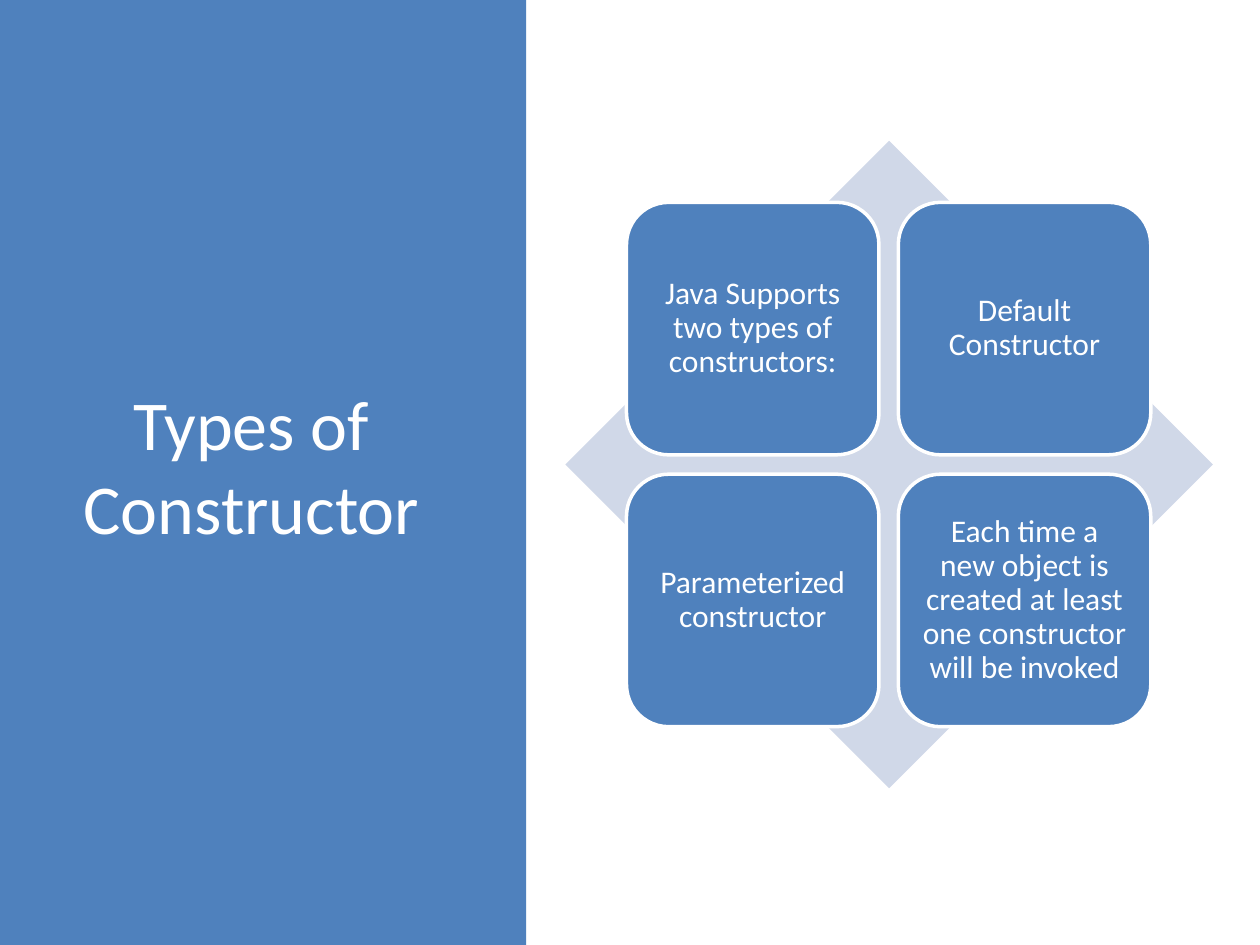
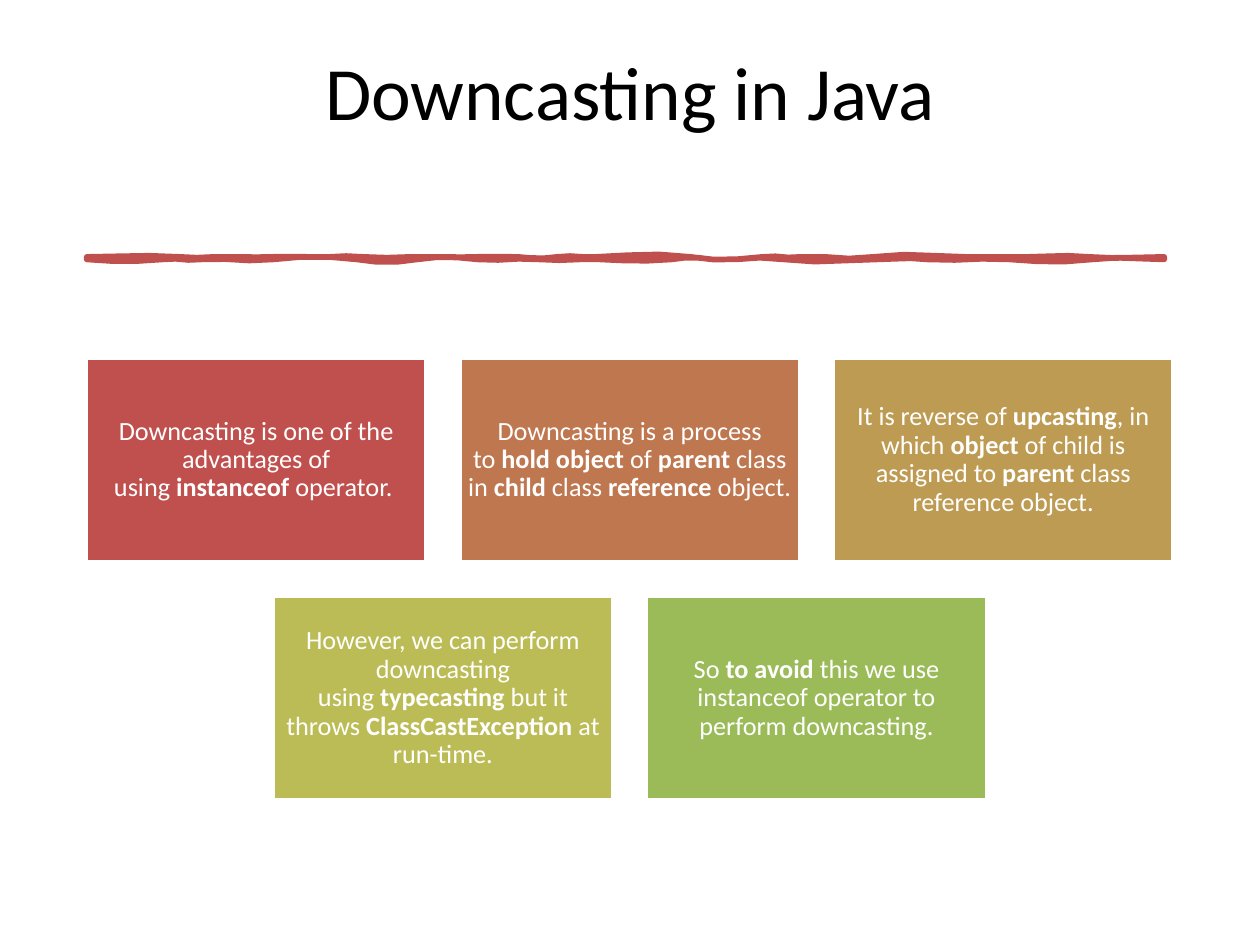
import pptx
import pptx.util
import pptx.dml.color
import pptx.enum.shapes
import pptx.enum.text
from dataclasses import dataclass

Cm = pptx.util.Cm
Pt = pptx.util.Pt
MSO = pptx.enum.shapes.MSO_SHAPE
ANCHOR = pptx.enum.text.MSO_ANCHOR


@dataclass(frozen=True)
class Theme:
    font: str = "Calibri"
    blue: str = "4F81BD"
    pale: str = "D0D8E8"
    red: str = "C0504D"
    white: str = "FFFFFF"
    black: str = "000000"
    cards: tuple = ("C0504D", "BF7750", "BD9B53", "BCBC56", "9BBB59")
    side_title: int = 40
    top_title: int = 43
    tile_text: int = 18
    card_text: int = 15
    outline: float = 2
    stroke: float = 3.25


theme = Theme()
NBSP = chr(160)


def paint(sp, fill, line=None, width=theme.outline):
    """Give a shape its fill and outline, without a shadow."""
    sp.shadow.inherit = False
    sp.fill.solid()
    sp.fill.fore_color.rgb = pptx.dml.color.RGBColor.from_string(fill)
    if line:
        sp.line.color.rgb = pptx.dml.color.RGBColor.from_string(line)
        sp.line.width = Pt(width)
    else:
        sp.line.fill.background()


def write(sp, text, size, color=theme.white, spacing=0.9, **frame):
    """Centre text in a shape; *stars* mark bold, with hard spaces beside them."""
    tf = sp.text_frame
    fmt = {"word_wrap": True, "vertical_anchor": ANCHOR.MIDDLE, **frame}
    for name, value in fmt.items():
        setattr(tf, name, value)
    p = tf.paragraphs[0]
    p.alignment = pptx.enum.text.PP_ALIGN.CENTER
    p.line_spacing = spacing
    text = text.replace(" *", NBSP + "*").replace("* ", "*" + NBSP)
    for i, part in enumerate(text.split("*")):
        r = p.add_run()
        r.text = part
        for name, value in {"name": theme.font, "size": Pt(size), "bold": i % 2 == 1}.items():
            setattr(r.font, name, value)
        r.font.color.rgb = pptx.dml.color.RGBColor.from_string(color)


prs = pptx.Presentation()
prs.slide_width, prs.slide_height = Cm(25.4), Cm(19.05)
blank = prs.slide_layouts[6]

# Slide 1: side band and title
s = prs.slides.add_slide(blank)
sp = s.shapes.add_shape(MSO.RECTANGLE, 0, 0, Cm(10.61), prs.slide_height)
paint(sp, theme.blue)
sp = s.shapes.add_textbox(Cm(1.11), Cm(1.71), Cm(7.92), Cm(15.29))
write(sp, "Types of Constructor", theme.side_title, spacing=1.0)

# Diamond behind a two by two grid of tiles
sp = s.shapes.add_shape(MSO.DIAMOND, Cm(11.4), Cm(2.84), Cm(13.05), Cm(13.05))
paint(sp, theme.pale)
tiles = [
    "Java Supports two types of constructors:",
    "Default Constructor",
    "Parameterized constructor",
    "Each time a new object is created at least one constructor will be invoked",
]
tile, tile_pitch = 5.09, 5.48
sides = ("margin_left", "margin_right", "margin_top", "margin_bottom")
pad = dict.fromkeys(sides, Cm(0.23))
for i, text in enumerate(tiles):
    row, col = divmod(i, 2)
    sp = s.shapes.add_shape(MSO.ROUNDED_RECTANGLE, Cm(12.63 + col * tile_pitch),
                            Cm(4.08 + row * tile_pitch), Cm(tile), Cm(tile))
    paint(sp, theme.blue, theme.white)
    write(sp, text, theme.tile_text, **pad)

# Slide 2: title
s = prs.slides.add_slide(blank)
sp = s.shapes.add_textbox(Cm(1.75), Cm(1.02), Cm(21.9), Cm(3.68))
write(sp, "Downcasting in Java", theme.top_title, theme.black,
      vertical_anchor=ANCHOR.TOP, margin_top=Cm(0.1))

# Hand-drawn rule: each stretch is (end x, first bend, second bend)
left, top_y, bottom_y = 1.75, 5.18, 5.23
bend, steps = 0.025, 3
top_edge = [
    (3.63, 0, -2), (4.65, 2, -1), (6.3, 1, -1), (7.32, 1, -2), (8.76, 2, -1),
    (10.44, 1, -1), (11.23, 1, 2), (12.01, -2, 1), (13.92, -1, -4), (15.37, 4, 2),
    (16.15, -2, 2), (17.6, -2, 4), (19.48, -4, 0), (20.7, 0, 0), (21.95, 0, -2),
    (23.47, 2, 0),
]
bottom_edge = [
    (22.02, 0, -3), (20.35, 3, 2), (18.69, -2, 2), (17.68, -2, 0), (15.8, 0, 4),
    (14.35, -4, 2), (13.54, -2, -2), (12.09, 2, 1), (10.87, -1, 2), (9.63, -2, 2),
    (8.41, -2, -3), (7.19, 3, 3), (5.51, -3, -3), (4.06, 3, -2), (3.28, 2, -2),
    (1.75, 2, 2),
]
points = []
x0 = left
for edge, y in ((top_edge, top_y), (bottom_edge, bottom_y)):
    points.append((Cm(x0), Cm(y)))
    for x1, b1, b2 in edge:
        for k in range(1, steps + 1):
            t = k / steps
            wave = 3 * t * (1 - t) * ((1 - t) * b1 + t * b2)
            points.append((Cm(x0 + (x1 - x0) * t), Cm(y + wave * bend)))
        x0 = x1
fb = s.shapes.build_freeform(*points[0], scale=1)
fb.add_line_segments(points[1:], close=True)
paint(fb.convert_to_shape(), theme.red, theme.red, theme.stroke)

# Cards: three above, two centred below
cards = [
    "Downcasting is one of the advantages of using *instanceof* operator. ",
    "Downcasting is a process to *hold object* of *parent* class in *child* class *reference* object. ",
    "It is reverse of *upcasting*, in which *object* of child is assigned to *parent* class reference object.",
    "However, we can perform downcasting using *typecasting* but it throws *ClassCastException* at run-time.",
    "So *to avoid* this we use instanceof operator to perform downcasting.",
]
card_w, card_h, pitch_x, pitch_y = 6.85, 4.11, 7.53, 4.8
pad = dict.fromkeys(sides, Cm(0.15))
for i, (text, fill) in enumerate(zip(cards, theme.cards)):
    row, col = divmod(i, 3)
    sp = s.shapes.add_shape(MSO.RECTANGLE, Cm(1.74 + (col + row / 2) * pitch_x),
                            Cm(7.22 + row * pitch_y), Cm(card_w), Cm(card_h))
    paint(sp, fill, theme.white)
    write(sp, text, theme.card_text, **pad)

prs.save("out.pptx")
